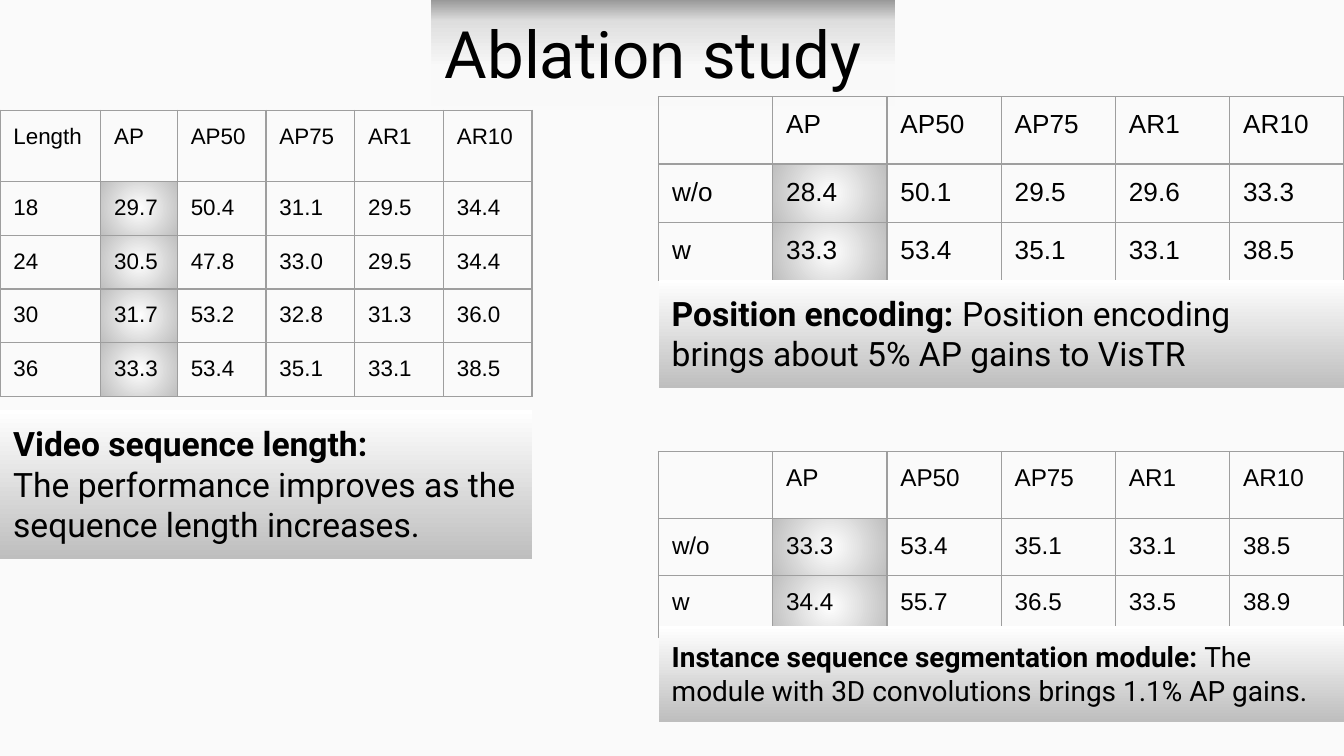
from lxml.etree import SubElement
from pptx import Presentation
from pptx.dml.color import RGBColor
from pptx.enum.text import MSO_ANCHOR, MSO_AUTO_SIZE, PP_ALIGN
from pptx.oxml import parse_xml
from pptx.oxml.ns import nsdecls, qn
from pptx.util import Inches, Pt

BLACK, GRID = "000000", "9E9E9E"
WHITE_TO_GRAY = [(0, "FFFFFF"), (100, "BEBEBE")]
TITLE_FADE = [(0, "F9F9F9"), (36, "F9F9F9"), (80, "DEDEDE"), (100, "999999")]
METRICS = ["AP", "AP50", "AP75", "AR1", "AR10"]
RIGHT_X, RIGHT_W = 4.9, 5.1


def rgb(color):
    return RGBColor.from_string(color)


def style(p, size, font):
    p.alignment = PP_ALIGN.LEFT
    p.font.size, p.font.name = Pt(size), font
    p.font.color.rgb = rgb(BLACK)


def fill_gradient(fill, parent, stops, angle=None):
    """Fill linearly at the angle in degrees, or radially without one."""
    fill.background()
    gs = "".join(f'<a:gs pos="{pos * 1000}"><a:srgbClr val="{color}"/></a:gs>'
                 for pos, color in stops)
    if angle is None:
        shade = ('<a:path path="circle"><a:fillToRect l="50000" t="50000" '
                 'r="50000" b="50000"/></a:path>')
    else:
        shade = f'<a:lin ang="{angle * 60000}" scaled="0"/>'
    grad = parse_xml(f'<a:gradFill {nsdecls("a")}><a:gsLst>{gs}</a:gsLst>'
                     f'{shade}</a:gradFill>')
    parent.replace(parent.find(qn("a:noFill")), grad)


def add_borders(cell):
    tcPr = cell._tc.get_or_add_tcPr()
    for i, side in enumerate(("lnL", "lnR", "lnT", "lnB")):
        ln = SubElement(tcPr, qn(f"a:{side}"), w=str(Pt(0.75)))
        SubElement(SubElement(ln, qn("a:solidFill")), qn("a:srgbClr"), val=GRID)
        tcPr.insert(i, ln)


def format_frame(tf, auto_size):
    tf.word_wrap = True
    tf.auto_size = auto_size
    tf.vertical_anchor = MSO_ANCHOR.TOP
    tf.margin_left = tf.margin_right = tf.margin_top = tf.margin_bottom = Inches(0.1)


def add_title(s, text):
    title = s.shapes.title
    title.left, title.top = Inches(3.21), 0
    title.width, title.height = Inches(3.45), Inches(0.79)
    fill_gradient(title.fill, title._element.spPr, TITLE_FADE, 270)
    tf = title.text_frame
    format_frame(tf, MSO_AUTO_SIZE.NONE)
    tf.text = text
    style(tf.paragraphs[0], 35, "Roboto")


def add_results(s, x, y, widths, heights, size, rows):
    """Add a grid of scores with its AP column shaded below the header."""
    table = s.shapes.add_table(len(heights), len(widths), Inches(x), Inches(y),
                               Inches(sum(widths)), Inches(sum(heights))).table
    table.first_row = table.horz_banding = False
    for col, width in zip(table.columns, widths):
        col.width = Inches(width)
    for row, height in zip(table.rows, heights):
        row.height = Inches(height)
    for i, values in enumerate(rows):
        for j, value in enumerate(values):
            cell = table.cell(i, j)
            cell.margin_left = cell.margin_right = Inches(0.1)
            cell.margin_top = cell.margin_bottom = Inches(0.1)
            cell.text = value
            style(cell.text_frame.paragraphs[0], size, "Arial")
            cell.fill.background()
            if i > 0 and j == 1:
                fill_gradient(cell.fill, cell._tc.tcPr, WHITE_TO_GRAY)
            add_borders(cell)


def add_caption(s, x, y, w, h, size, paragraphs):
    """Add a shaded note; each paragraph is a list of (text, bold) runs."""
    box = s.shapes.add_textbox(Inches(x), Inches(y), Inches(w), Inches(h))
    fill_gradient(box.fill, box._element.spPr, WHITE_TO_GRAY, 90)
    tf = box.text_frame
    format_frame(tf, MSO_AUTO_SIZE.SHAPE_TO_FIT_TEXT)
    for i, runs in enumerate(paragraphs):
        p = tf.add_paragraph() if i else tf.paragraphs[0]
        style(p, size, "Roboto")
        for text, bold in runs:
            r = p.add_run()
            r.text, r.font.bold = text, bold


def main():
    prs = Presentation()
    prs.slide_width = Inches(10)
    prs.slide_height = prs.slide_width * 9 // 16
    s = prs.slides.add_slide(prs.slide_layouts[5])
    s.background.fill.solid()
    s.background.fill.fore_color.rgb = rgb("FAFAFA")
    add_title(s, "Ablation study")

    add_results(s, 0, 0.82, [0.75, 0.57] + [0.66] * 4, [0.53] + [0.4] * 4, 12, [
        ["Length", *METRICS],
        ["18", "29.7", "50.4", "31.1", "29.5", "34.4"],
        ["24", "30.5", "47.8", "33.0", "29.5", "34.4"],
        ["30", "31.7", "53.2", "32.8", "31.3", "36.0"],
        ["36", "33.3", "53.4", "35.1", "33.1", "38.5"],
    ])
    add_caption(s, 0, 3.05, 3.96, 1.11, 18, [
        [("Video sequence length:", True)],
        [("The performance improves as the sequence length increases.", False)],
    ])

    right_cols = [RIGHT_W / 6] * 6
    add_results(s, RIGHT_X, 0.72, right_cols, [0.5, 0.43, 0.43], 14, [
        ["", *METRICS],
        ["w/o", "28.4", "50.1", "29.5", "29.6", "33.3"],
        ["w", "33.3", "53.4", "35.1", "33.1", "38.5"],
    ])
    add_caption(s, RIGHT_X, 2.08, RIGHT_W, 0.81, 18, [
        [("Position encoding:", True),
         (" Position encoding brings about 5% AP gains to VisTR", False)],
    ])

    add_results(s, RIGHT_X, 3.36, right_cols, [0.5, 0.42, 0.46], 13, [
        ["", *METRICS],
        ["w/o", "33.3", "53.4", "35.1", "33.1", "38.5"],
        ["w", "34.4", "55.7", "36.5", "33.5", "38.9"],
    ])
    add_caption(s, RIGHT_X, 4.66, RIGHT_W, 0.71, 15, [
        [("Instance sequence segmentation module:", True),
         (" The module with 3D convolutions brings 1.1% AP gains.", False)],
    ])
    prs.save("out.pptx")


if __name__ == "__main__":
    main()
